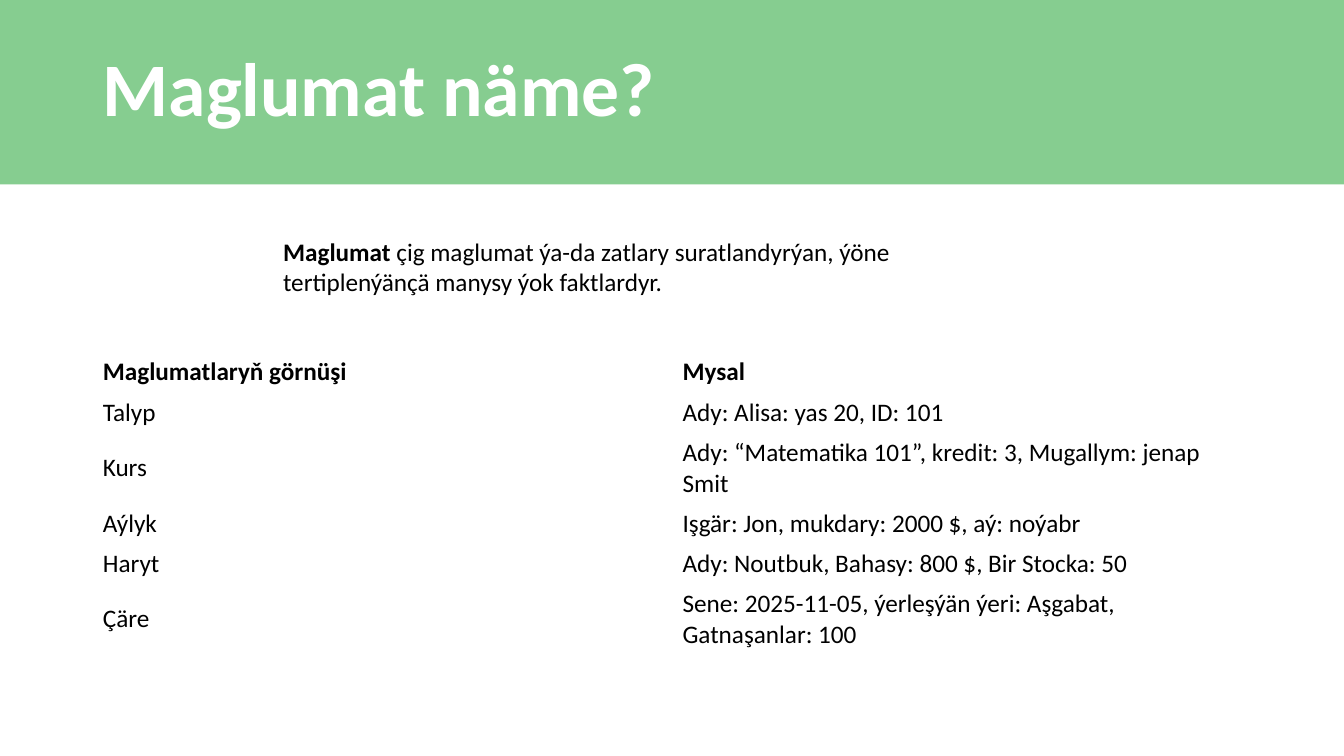
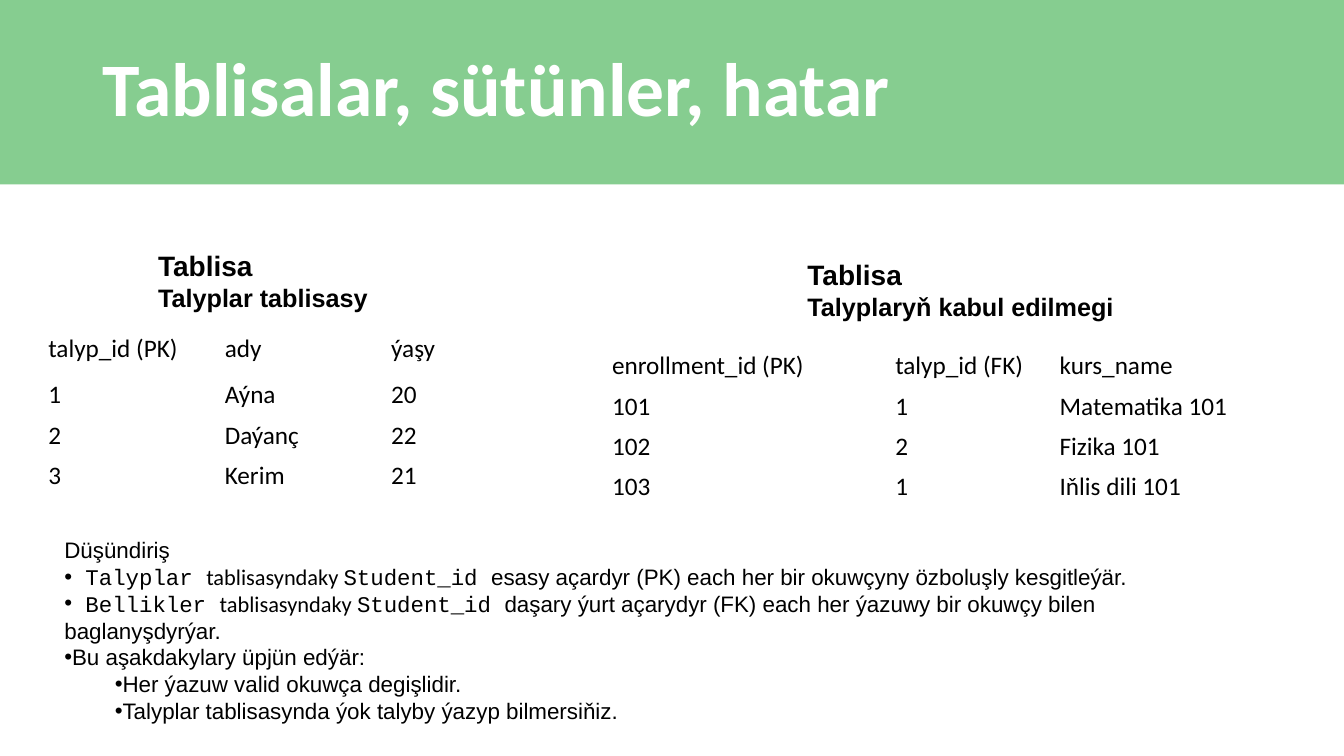
from dataclasses import dataclass
from typing import Optional

from lxml.etree import SubElement
from pptx import Presentation
from pptx.dml.color import RGBColor
from pptx.enum.shapes import MSO_SHAPE as Preset
from pptx.enum.text import MSO_ANCHOR as Anchor, MSO_AUTO_SIZE as AutoSize
from pptx.oxml.ns import qn
from pptx.util import Inches, Pt

COLORS = {"band": "86CD90", "title": "FFFFFF", "text": "000000"}
BODY, PLAIN, CODE = "Calibri", "Arial", "Courier New"
SLIDE_WIDTH, SLIDE_HEIGHT = 13.33, 7.5
BAND_HEIGHT = 1.83
LINE_ROW, WRAPPED_ROW = 0.4, 0.7
BULLET_INDENT = 0.5


@dataclass(frozen=True)
class Span:
    text: str
    font: str = PLAIN
    size: float = 18
    bold: bool = False
    color: str = "text"


@dataclass(frozen=True)
class Para:
    spans: tuple[Span, ...]
    bullet_level: Optional[int] = None
    line_spacing: Optional[float] = None


@dataclass(frozen=True)
class Grid:
    left: float
    top: float
    columns: tuple[float, ...]
    heights: tuple[float, ...]
    rows: tuple[tuple[str, ...], ...]
    bold_header: bool = False


@dataclass(frozen=True)
class Caption:
    left: float
    top: float
    width: float
    name: str


DATA_KINDS = Grid(
    0.92, 3.49, (5.75, 5.75),
    (LINE_ROW, LINE_ROW, WRAPPED_ROW, LINE_ROW, LINE_ROW, WRAPPED_ROW),
    (
        ("Maglumatlaryň görnüşi", "Mysal"),
        ("Talyp", "Ady: Alisa: yas 20, ID: 101"),
        ("Kurs", "Ady: “Matematika 101”, kredit: 3, Mugallym: jenap Smit"),
        ("Aýlyk", "Işgär: Jon, mukdary: 2000 $, aý: noýabr"),
        ("Haryt", "Ady: Noutbuk, Bahasy: 800 $, Bir Stocka: 50"),
        ("Çäre", "Sene: 2025-11-05, ýerleşýän ýeri: Aşgabat, Gatnaşanlar: 100"),
    ),
    bold_header=True,
)

STUDENTS = Grid(
    0.38, 3.21, (1.75, 1.65, 1.85), (0.51,) + (LINE_ROW,) * 3,
    (
        ("talyp_id (PK)", "ady", "ýaşy"),
        ("1", "Aýna", "20"),
        ("2", "Daýanç", "22"),
        ("3", "Kerim", "21"),
    ),
)

ENROLLMENTS = Grid(
    5.97, 3.43, (2.81, 1.63, 2.22), (LINE_ROW,) * 4,
    (
        ("enrollment_id (PK)", "talyp_id (FK)", "kurs_name"),
        ("101", "1", "Matematika 101"),
        ("102", "2", "Fizika 101"),
        ("103", "1", "Iňlis dili 101"),
    ),
)

CAPTIONS = (
    Caption(1.47, 2.42, 2.36, "Talyplar tablisasy"),
    Caption(7.91, 2.51, 3.62, "Talyplaryň kabul edilmegi"),
)


def note(text: str, level: Optional[int] = None) -> Para:
    return Para((Span(text, size=16),), level)


def key_note(table_name: str, meaning: str) -> Para:
    """Bullet that says what Student_id means in the named table."""
    return Para((
        Span(f" {table_name} ", CODE, 16),
        Span("tablisasyndaky ", BODY, 16),
        Span("Student_id ", CODE, 16),
        Span(meaning, PLAIN, 16),
    ), bullet_level=0)


EXPLANATION = (
    note("Düşündiriş"),
    key_note("Talyplar", "esasy açardyr (PK) each her bir okuwçyny özboluşly kesgitleýär."),
    key_note("Bellikler",
             "daşary ýurt açarydyr (FK) each her ýazuwy bir okuwçy bilen baglanyşdyrýar."),
    note("Bu aşakdakylary üpjün edýär:", 0),
    note("Her ýazuw valid okuwça degişlidir.", 1),
    note("Talyplar tablisasynda ýok talyby ýazyp bilmersiňiz.", 1),
)


def add_bullet(para, level: int) -> None:
    para.level = level
    properties = para._p.get_or_add_pPr()
    properties.set("marL", str(Inches(BULLET_INDENT * level)))
    properties.set("indent", "0")
    SubElement(properties, qn("a:buFont")).set("typeface", PLAIN)
    SubElement(properties, qn("a:buChar")).set("char", "•")


def write(frame, paras: tuple[Para, ...]) -> None:
    for index, content in enumerate(paras):
        para = frame.paragraphs[0] if index == 0 else frame.add_paragraph()
        if content.line_spacing is not None:
            para.line_spacing = content.line_spacing
        if content.bullet_level is not None:
            add_bullet(para, content.bullet_level)
        for span in content.spans:
            run = para.add_run()
            run.text = span.text
            run.font.name = span.font
            run.font.size = Pt(span.size)
            run.font.bold = span.bold
            run.font.color.rgb = RGBColor.from_string(COLORS[span.color])


def add_text(page, paras: tuple[Para, ...], *, left: float, top: float, width: float,
             height: float, anchor=Anchor.TOP, grow: bool = True) -> None:
    box = page.shapes.add_textbox(Inches(left), Inches(top), Inches(width), Inches(height))
    frame = box.text_frame
    frame.word_wrap = True
    frame.auto_size = AutoSize.SHAPE_TO_FIT_TEXT if grow else AutoSize.NONE
    frame.vertical_anchor = anchor
    write(frame, paras)


def add_grid(page, grid: Grid) -> None:
    frame = page.shapes.add_table(
        len(grid.rows), len(grid.columns), Inches(grid.left), Inches(grid.top),
        Inches(sum(grid.columns)), Inches(sum(grid.heights)))
    table = frame.table
    table.first_row = table.horz_banding = False
    for column, width in zip(table.columns, grid.columns):
        column.width = Inches(width)
    for row_index, (row, height, texts) in enumerate(zip(table.rows, grid.heights, grid.rows)):
        row.height = Inches(height)
        bold = grid.bold_header and row_index == 0
        for cell, text in zip(row.cells, texts):
            cell.fill.background()
            cell.vertical_anchor = Anchor.MIDDLE
            write(cell.text_frame, (Para((Span(text, BODY, bold=bold),)),))


def add_page(deck, title: str):
    """Blank slide with the green band and its title."""
    page = deck.slides.add_slide(deck.slide_layouts[6])
    band = page.shapes.add_shape(
        Preset.RECTANGLE, 0, 0, Inches(SLIDE_WIDTH), Inches(BAND_HEIGHT))
    band.shadow.inherit = False
    band.fill.solid()
    band.fill.fore_color.rgb = RGBColor.from_string(COLORS["band"])
    band.line.fill.background()
    heading = Para((Span(title, BODY, 54, True, "title"),), line_spacing=0.9)
    add_text(page, (heading,), left=0.92, top=0.15, width=11.5, height=1.53,
             anchor=Anchor.MIDDLE, grow=False)
    return page


def build_data_page(deck) -> None:
    page = add_page(deck, "Maglumat näme?")
    definition = Para((
        Span("Maglumat ", BODY, bold=True),
        Span("çig maglumat ýa-da zatlary suratlandyrýan, ýöne tertiplenýänçä "
             "manysy ýok faktlardyr.", BODY),
    ))
    add_text(page, (definition,), left=2.71, top=2.29, width=6.67, height=0.71)
    add_grid(page, DATA_KINDS)


def build_tables_page(deck) -> None:
    page = add_page(deck, "Tablisalar, sütünler, hatar")
    for grid, caption in zip((STUDENTS, ENROLLMENTS), CAPTIONS):
        add_grid(page, grid)
        lines = (Para((Span("Tablisa", size=20, bold=True),)),
                 Para((Span(caption.name, bold=True),)))
        add_text(page, lines, left=caption.left, top=caption.top,
                 width=caption.width, height=0.74)
    add_text(page, EXPLANATION, left=0.54, top=5.27, width=10.86, height=2.2)


def main() -> None:
    deck = Presentation()
    deck.slide_width = Inches(SLIDE_WIDTH)
    deck.slide_height = Inches(SLIDE_HEIGHT)
    build_data_page(deck)
    build_tables_page(deck)
    deck.save("out.pptx")


if __name__ == "__main__":
    main()
